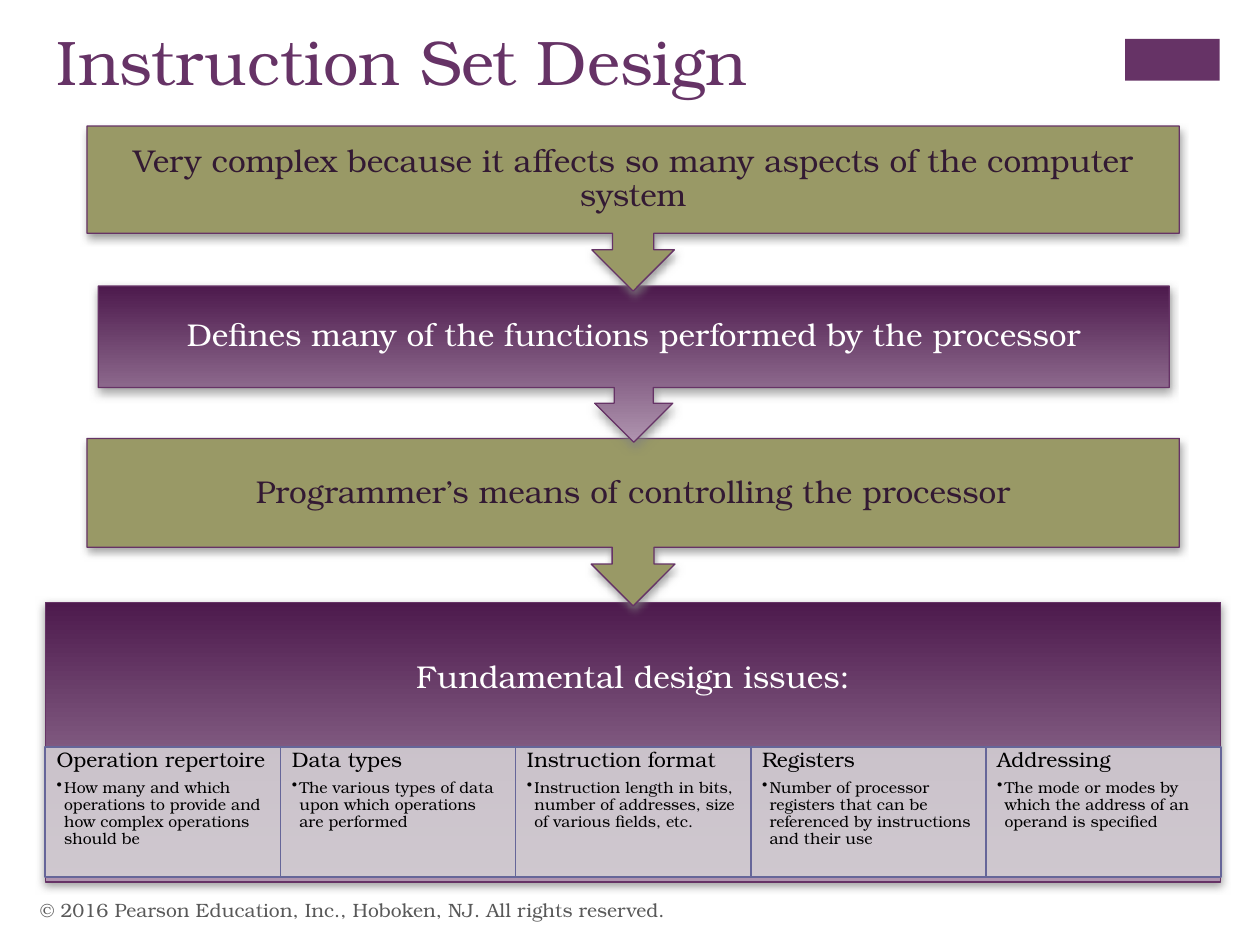
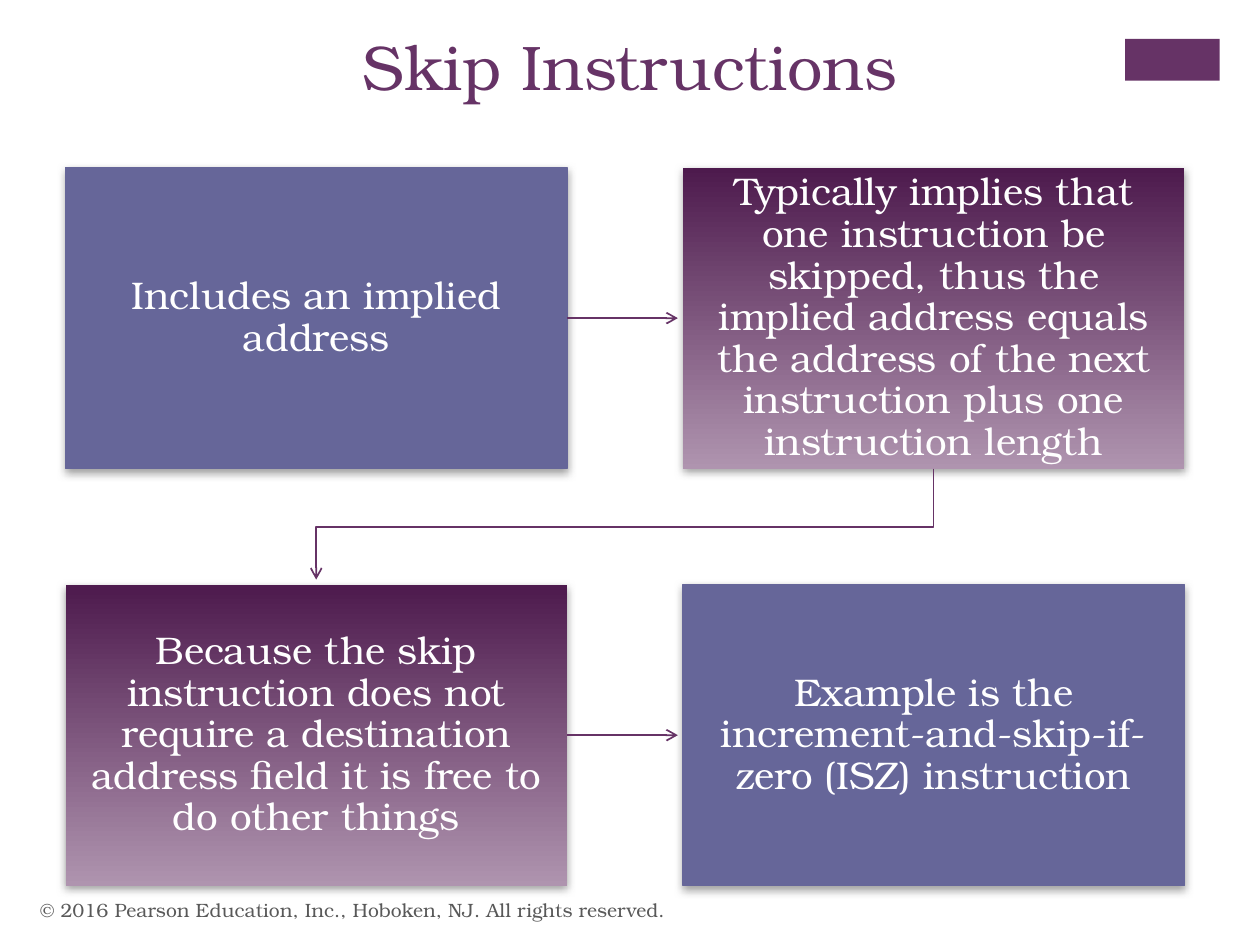
"""Build two slides on instruction set design and skip instructions."""
from dataclasses import dataclass
from typing import Any, Optional

import lxml.etree
import pptx
import pptx.dml.color
import pptx.enum.shapes
import pptx.enum.text
import pptx.oxml.ns
import pptx.util

Inches = pptx.util.Inches
RGBColor = pptx.dml.color.RGBColor
Shape = pptx.enum.shapes.MSO_SHAPE
Anchor = pptx.enum.text.MSO_ANCHOR
Align = pptx.enum.text.PP_ALIGN
qn = pptx.oxml.ns.qn

PLUM = RGBColor(0x66, 0x33, 0x66)
DARK = RGBColor(0x4D, 0x1A, 0x4D)
PALE = RGBColor(0xAF, 0x94, 0xAF)
INK = RGBColor(0x33, 0x1A, 0x33)
OLIVE = RGBColor(0x99, 0x99, 0x66)
BLUE = RGBColor(0x66, 0x66, 0x99)
MIST = RGBColor(0xD3, 0xCE, 0xD3)
GREY = RGBColor(0x59, 0x59, 0x59)
WHITE = RGBColor(0xFF, 0xFF, 0xFF)
BLACK = RGBColor(0, 0, 0)
FADE = (DARK, PALE)
FONT = "TeX Gyre Bonum"
NOTICE = "© 2016 Pearson Education, Inc., Hoboken, NJ. All rights reserved."


@dataclass(frozen=True)
class Box:
    """Place and size in inches."""
    left: float
    top: float
    width: float
    height: float

    def emu(self) -> tuple:
        """Give the four lengths."""
        return tuple(Inches(v) for v in (self.left, self.top, self.width, self.height))


@dataclass(frozen=True)
class Step:
    """A filled block with a text."""
    text: str
    box: Box
    fill: Any
    ink: RGBColor = WHITE
    line: Optional[RGBColor] = PLUM


@dataclass(frozen=True)
class Issue:
    """A design issue and its detail."""
    head: str
    detail: str


STEPS = (
    Step("Programmer’s means of controlling the processor",
         Box(0.69, 3.48, 8.67, 1.33), OLIVE, INK),
    Step("Defines many of the functions performed by the processor",
         Box(0.78, 2.27, 8.5, 1.24), FADE),
    Step("Very complex because it affects so many aspects of the computer system",
         Box(0.69, 1, 8.67, 1.31), OLIVE, INK),
)
PANEL = Step("Fundamental design issues:", Box(0.36, 4.78, 9.33, 2.22), FADE)
ISSUES = (
    Issue("Operation repertoire", "How many and which operations to provide and "
          "how complex operations should be"),
    Issue("Data types", "The various types of data upon which operations are performed"),
    Issue("Instruction format", "Instruction length in bits, number of addresses, "
          "size of various fields, etc."),
    Issue("Registers", "Number of processor registers that can be referenced by "
          "instructions and their use"),
    Issue("Addressing", "The mode or modes by which the address of an operand is specified"),
)
SKIPS = (
    ("Includes an implied address", BLUE),
    ("Typically implies that one instruction be skipped, thus the implied address "
     "equals the address of the next instruction plus one instruction length", FADE),
    ("Because the skip instruction does not require a destination address field "
     "it is free to do other things", FADE),
    ("Example is the increment-and-skip-if-zero (ISZ) instruction", BLUE),
)
COLS, ROWS = (0.52, 5.42), (1.33, 4.64)
WIDE, TALL, GAP = 3.98, 2.39, 0.04


def write(frame: Any, text: str, *, size: float, color: RGBColor,
          align: Any = Align.LEFT, pitch: float = 1.0, after: float = 0,
          bullet: bool = False) -> None:
    """Add one paragraph of formatted text."""
    para = frame.add_paragraph() if frame.text else frame.paragraphs[0]
    if bullet:
        para.level = 1
        props = para._p.get_or_add_pPr()
        props.set("marL", str(Inches(0.06)))
        props.set("indent", str(-Inches(0.06)))
        lxml.etree.SubElement(props, qn("a:buChar")).set("char", "•")
    para.alignment = align
    para.line_spacing = pitch
    para.space_after = pptx.util.Pt(after)
    run = para.add_run()
    run.text = text
    run.font.name = FONT
    run.font.size = pptx.util.Pt(size)
    run.font.color.rgb = color


def frame_of(shape: Any, anchor: Any, *insets: float) -> Any:
    """Set wrap, anchor and insets (left, top, right, bottom)."""
    frame = shape.text_frame
    frame.word_wrap = True
    frame.auto_size = pptx.enum.text.MSO_AUTO_SIZE.NONE
    frame.vertical_anchor = anchor
    sides = ("margin_left", "margin_top", "margin_right", "margin_bottom")
    for side, inset in zip(sides, insets):
        setattr(frame, side, Inches(inset))
    return frame


def paint(shape: Any, fill: Any, line: Optional[RGBColor] = None,
          weight: float = 0.75) -> None:
    """Fill with a colour or a fade, and set the outline."""
    shape.shadow.inherit = False
    if isinstance(fill, RGBColor):
        shape.fill.solid()
        shape.fill.fore_color.rgb = fill
    else:
        shape.fill.gradient()
        shape.fill.gradient_angle = 270
        for stop, color in zip(shape.fill.gradient_stops, fill):
            stop.color.rgb = color
    if line is None:
        shape.line.fill.background()
    else:
        shape.line.color.rgb = line
        shape.line.width = pptx.util.Pt(weight)


def shade(shape: Any) -> None:
    """Cast a soft grey shadow downward."""
    effects = shape.element.spPr.find(qn("a:effectLst"))
    outer = lxml.etree.SubElement(
        effects, qn("a:outerShdw"), blurRad=str(pptx.util.Pt(5)),
        dist=str(pptx.util.Pt(2)), dir="5400000", rotWithShape="0")
    color = lxml.etree.SubElement(outer, qn("a:srgbClr"), val="808080")
    lxml.etree.SubElement(color, qn("a:alpha"), val="75000")


def block(slide: Any, step: Step, kind: Any, size: float, *insets: float) -> Any:
    """Draw a shaded block with centred text."""
    shape = slide.shapes.add_shape(kind, *step.box.emu())
    paint(shape, step.fill, step.line)
    shade(shape)
    write(frame_of(shape, Anchor.MIDDLE, *insets), step.text, size=size,
          color=step.ink, align=Align.CENTER, pitch=0.9)
    return shape


def point(shape: Any) -> None:
    """Style a line as a plum arrow."""
    shape.line.color.rgb = PLUM
    shape.line.width = pptx.util.Pt(1)
    props = shape.element.spPr
    lxml.etree.SubElement(props.find(qn("a:ln")), qn("a:tailEnd"), type="arrow")
    if props.find(qn("a:effectLst")) is None:
        lxml.etree.SubElement(props, qn("a:effectLst"))


def start(deck: Any, title: str, box: Box, align: Any) -> Any:
    """Add a slide with its title, corner band and notice."""
    slide = deck.slides.add_slide(deck.slide_layouts[5])
    head = slide.shapes.title
    head.left, head.top, head.width, head.height = box.emu()
    write(frame_of(head, Anchor.TOP), title, size=36, color=PLUM, align=align)
    band = slide.shapes.add_shape(Shape.RECTANGLE, *Box(8.93, 0.31, 0.75, 0.33).emu())
    paint(band, PLUM)
    foot = slide.shapes.add_textbox(*Box(0.22, 7.02, 6.7, 0.4).emu())
    write(frame_of(foot, Anchor.MIDDLE), NOTICE, size=11, color=GREY)
    return slide


def tile(slide: Any, issue: Issue, box: Box) -> None:
    """Draw one design issue on a sheer tile."""
    shape = slide.shapes.add_shape(Shape.RECTANGLE, *box.emu())
    paint(shape, MIST, BLUE, 1)
    color = shape.element.spPr.find(qn("a:solidFill"))[0]
    lxml.etree.SubElement(color, qn("a:alpha"), val="90000")
    frame = frame_of(shape, Anchor.TOP, 0.09, 0.02, 0.09, 0.02)
    write(frame, issue.head, size=12, color=BLACK, pitch=0.9, after=4.2)
    write(frame, issue.detail, size=9, color=BLACK, pitch=0.9, bullet=True)


def design(deck: Any) -> None:
    """Build the slide on instruction set design."""
    slide = start(deck, "Instruction Set Design", Box(0.35, 0.13, 8.26, 1.22), Align.LEFT)
    block(slide, PANEL, Shape.RECTANGLE, 18, 0.14, 0.14, 0.14, 1.16)
    width = PANEL.box.width / len(ISSUES)
    for i, issue in enumerate(ISSUES):
        tile(slide, issue, Box(PANEL.box.left + i * width, 5.93, width, 1.03))
    for step in STEPS:
        block(slide, step, Shape.DOWN_ARROW_CALLOUT, 18, 0.14, 0.14, 0.14, 0.14)


def skips(deck: Any) -> None:
    """Build the slide on skip instructions."""
    slide = start(deck, "Skip Instructions", Box(0, 0.17, 10, 1.05), Align.CENTER)
    for i, (text, fill) in enumerate(SKIPS):
        row, col = divmod(i, 2)
        line = BLUE if fill is BLUE else None
        step = Step(text, Box(COLS[col], ROWS[row], WIDE, TALL), fill, line=line)
        shape = block(slide, step, Shape.RECTANGLE, 22, 0.17, 0.17, 0.17, 0.17)
        if col == 0:
            mid = Inches(ROWS[row] + TALL / 2)
            arrow = slide.shapes.add_connector(
                pptx.enum.shapes.MSO_CONNECTOR.STRAIGHT, Inches(COLS[0] + WIDE), mid,
                Inches(COLS[1] - GAP), mid)
            arrow.begin_connect(shape, 3)
            point(arrow)
    near, far = (Inches(left + WIDE / 2) for left in COLS)
    turn = Inches(4.18)
    path = slide.shapes.build_freeform(far, Inches(ROWS[0] + TALL))
    path.add_line_segments(
        [(far, turn), (near, turn), (near, Inches(ROWS[1] - GAP))], close=False)
    bend = path.convert_to_shape()
    bend.shadow.inherit = False
    bend.fill.background()
    point(bend)


def main() -> None:
    """Build and save the deck."""
    deck = pptx.Presentation()
    deck.slide_width, deck.slide_height = Inches(10), Inches(7.5)
    design(deck)
    skips(deck)
    deck.save("out.pptx")


if __name__ == "__main__":
    main()
